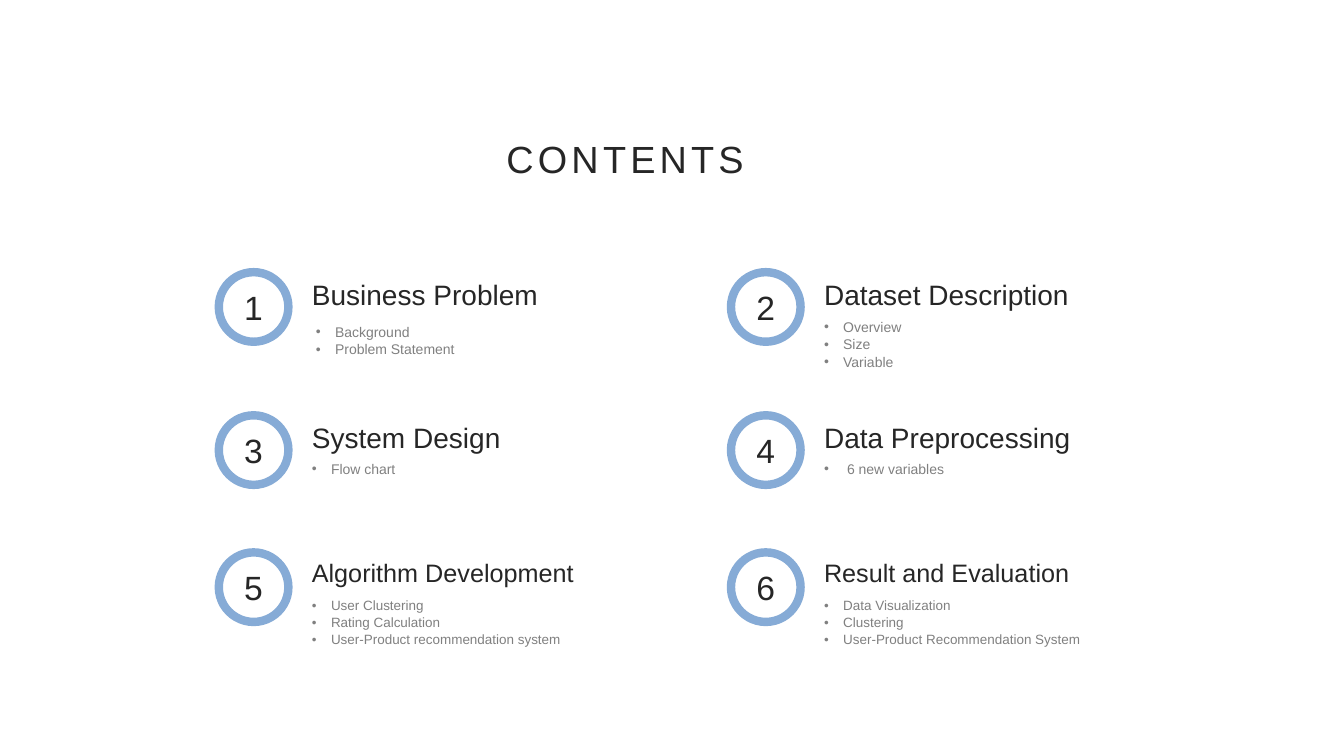
from lxml.etree import SubElement
from pptx import Presentation
from pptx.dml.color import RGBColor
from pptx.enum.shapes import MSO_SHAPE
from pptx.enum.text import MSO_ANCHOR, MSO_AUTO_SIZE, PP_ALIGN
from pptx.oxml.ns import qn
from pptx.util import Inches, Pt

INK = RGBColor(0x26, 0x26, 0x26)
GREY = RGBColor(0x80, 0x80, 0x80)
BLUE = RGBColor(0x86, 0xAB, 0xD6)

COLS = [2.17, 7.25]
ROWS = [2.7, 4.12, 5.48]
RING = 0.69
TEXT_DX = 0.825
SECTIONS = [
    ("Business Problem", 20, 10, (0.04, 0.45), ["Background", "Problem Statement"]),
    ("Dataset Description", 20, 10, (0, 0.4), ["Overview", "Size", "Variable"]),
    ("System Design", 20, 10, (0, 0.39), ["Flow chart"]),
    ("Data Preprocessing", 20, 10, (0, 0.39), [" 6 new variables"]),
    ("Algorithm Development", 18, 9.6, (0, 0.39),
     ["User Clustering", "Rating Calculation", "User-Product recommendation system"]),
    ("Result and Evaluation", 18, 9.6, (0, 0.39),
     ["Data Visualization", "Clustering", "User-Product Recommendation System"]),
]


def write(sp, lines, size, color, align=PP_ALIGN.LEFT, anchor=MSO_ANCHOR.TOP, spacing=1.0):
    tf = sp.text_frame
    frame = {"word_wrap": True, "auto_size": MSO_AUTO_SIZE.NONE, "vertical_anchor": anchor}
    for name, value in frame.items():
        setattr(tf, name, value)
    tf.text = "\n".join(lines)
    for p in tf.paragraphs:
        p.alignment = align
        p.line_spacing = spacing
        font = p.runs[0].font
        for name, value in {"name": "Arial", "size": Pt(size)}.items():
            setattr(font, name, value)
        font.color.rgb = color
    return tf.paragraphs


def add_text(x, y, w, h, lines, size, color, spacing):
    sp = s.shapes.add_textbox(Inches(x), Inches(y), Inches(w), Inches(h))
    return write(sp, lines, size, color, spacing=spacing)


prs = Presentation()
prs.slide_width, prs.slide_height = Inches(13.33), Inches(7.5)
s = prs.slides.add_slide(prs.slide_layouts[5])

title = s.shapes.title
box = {"left": 4.79, "top": 1.25, "width": 2.82, "height": 0.77}
for name, value in box.items():
    setattr(title, name, Inches(value))
p = write(title, ["CONTENTS"], 27, INK, PP_ALIGN.CENTER, spacing=1.1)[0]
p.runs[0].font._element.set("spc", "300")

for i, (heading, head_size, list_size, (dx, dy), items) in enumerate(SECTIONS):
    x, y = COLS[i % 2], ROWS[i // 2]
    ring = s.shapes.add_shape(MSO_SHAPE.OVAL, Inches(x), Inches(y), Inches(RING), Inches(RING))
    ring.shadow.inherit = False
    ring.fill.background()
    ring.line.color.rgb = BLUE
    ring.line.width = Pt(6)
    write(ring, [str(i + 1)], 24, INK, PP_ALIGN.CENTER, MSO_ANCHOR.MIDDLE)

    add_text(x + TEXT_DX, y - 0.03, 2.86, 0.48, [heading], head_size, INK, 1.1)
    height = 0.3 + 0.17 * len(items)
    for p in add_text(x + TEXT_DX + dx, y + dy, 3.24, height, items, list_size, GREY, 1.05):
        pPr = p._p.get_or_add_pPr()
        pPr.set("marL", str(Inches(0.19)))
        pPr.set("indent", str(-Inches(0.19)))
        SubElement(pPr, qn("a:buFont"), typeface="Arial")
        SubElement(pPr, qn("a:buChar"), char="•")

prs.save("out.pptx")
